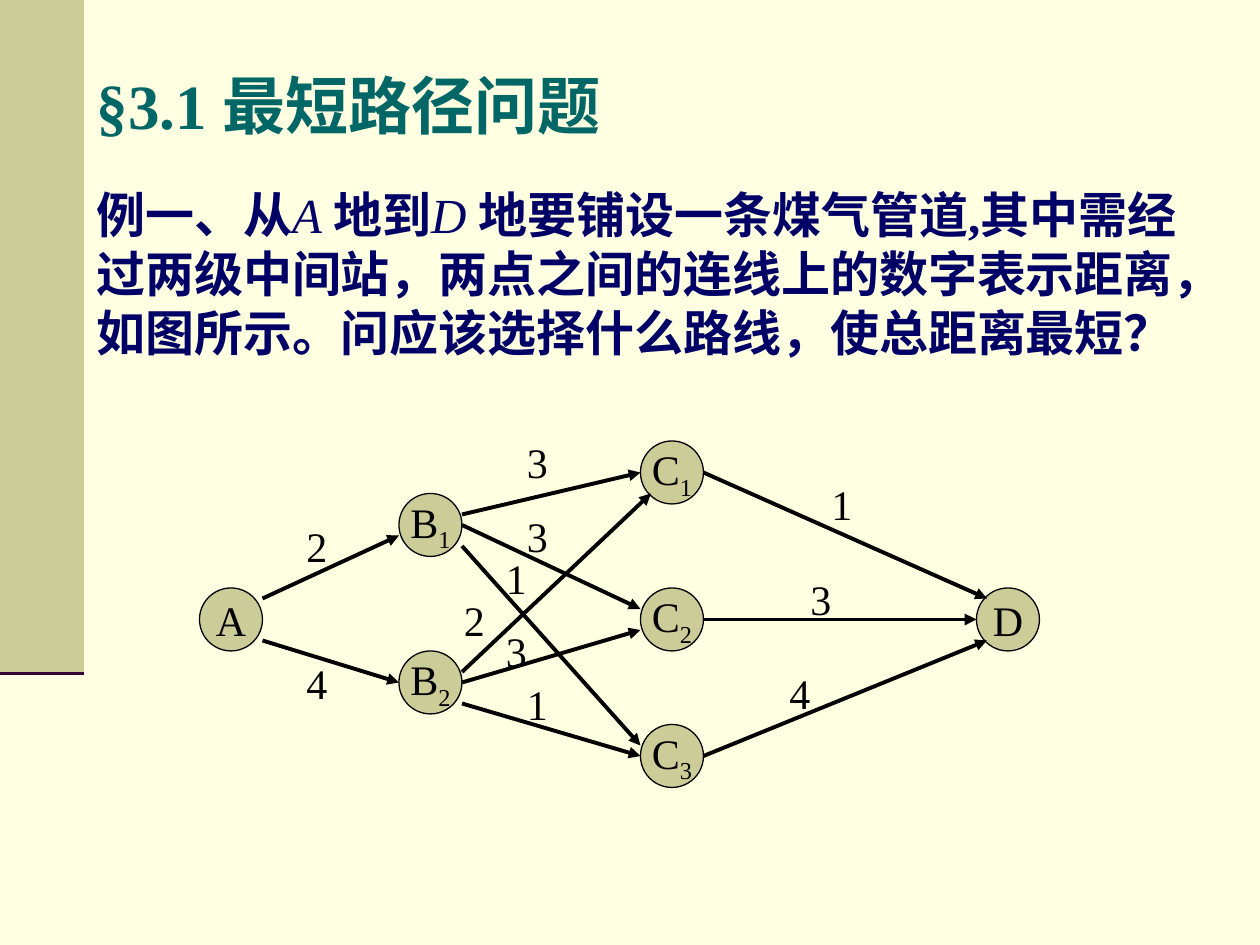
from lxml.etree import SubElement
from pptx import Presentation
from pptx.dml.color import RGBColor
from pptx.enum.shapes import MSO_CONNECTOR as Connector, MSO_SHAPE as Shape
from pptx.enum.text import MSO_ANCHOR as Anchor, MSO_AUTO_SIZE as AutoSize, PP_ALIGN as Align
from pptx.oxml.ns import qn
from pptx.util import Cm, Pt

FONT = "Times New Roman"
CREAM, KHAKI, PLUM = "FFFFE1", "CCCC99", "330033"
TEAL, NAVY, BLACK = "006666", "000066", "000000"
NODE_SIZE = 6

# Node name: left, top (grid units)
NODES = {
    "A": (19, 56),
    "B1": (38, 47), "B2": (38, 62),
    "C1": (61, 42), "C2": (61, 56), "C3": (61, 69),
    "D": (93, 56),
}

# Start, end, distance, left and top of the distance label (grid units)
EDGES = [
    ((25, 57), (38, 51), "2", (28, 49)),
    ((25, 61), (38, 65), "4", (28, 62)),
    ((44, 49), (61, 45), "3", (49, 41)),
    ((44, 50), (61, 58), "3", (49, 48)),
    ((44, 52), (61, 71), "1", (47, 52)),
    ((44, 64), (62, 47), "2", (43, 56)),
    ((44, 65), (61, 60), "3", (47, 59)),
    ((44, 67), (61, 72), "1", (49, 64)),
    ((67, 45), (94, 57), "1", (78, 45)),
    ((67, 59), (93, 59), "3", (76, 54)),
    ((67, 72), (94, 61), "4", (74, 63)),
]

QUESTION = [
    ("例一、从", False), ("A ", True), ("地到", False), ("D ", True),
    ("地要铺设一条煤气管道,其中需经过两级中间站，两点之间的连线上的数字表示距离，"
     "如图所示。问应该选择什么路线，使总距离最短？", False),
]


def grid(*counts):
    """Lengths on a grid of twelve units to the inch."""
    return [Cm(count * 2.54 / 12) for count in counts]


def color(hex_string):
    return RGBColor.from_string(hex_string)


def add_run(paragraph, text, size, hex_string, bold=False, italic=False):
    run = paragraph.add_run()
    run.text = text
    font = run.font
    font.name, font.size = FONT, Pt(size)
    font.bold, font.italic = bold, italic
    font.color.rgb = color(hex_string)
    return run


def add_line(slide, start, end, hex_string, width, arrow=False):
    line = slide.shapes.add_connector(Connector.STRAIGHT, *grid(*start, *end))
    line.line.color.rgb = color(hex_string)
    line.line.width = Pt(width)
    if arrow:
        SubElement(line.line._get_or_add_ln(), qn("a:tailEnd"), type="triangle")
    SubElement(line._element.spPr, qn("a:effectLst"))


def add_filled_shape(slide, kind, *box):
    shape = slide.shapes.add_shape(kind, *grid(*box))
    shape.shadow.inherit = False
    shape.fill.solid()
    shape.fill.fore_color.rgb = color(KHAKI)
    shape.line.fill.background()
    return shape


def add_node(slide, name, left, top):
    shape = add_filled_shape(slide, Shape.OVAL, left, top, NODE_SIZE, NODE_SIZE)
    shape.line.color.rgb = color(BLACK)
    shape.line.width = Pt(0.75)
    frame = shape.text_frame
    frame.word_wrap = False
    frame.vertical_anchor = Anchor.MIDDLE
    paragraph = frame.paragraphs[0]
    paragraph.alignment = Align.CENTER
    add_run(paragraph, name[0], 24, BLACK)
    if name[1:]:
        subscript = add_run(paragraph, name[1:], 24, BLACK)
        subscript.font._element.set("baseline", "-25000")


def add_text(slide, box, wrap):
    frame = slide.shapes.add_textbox(*grid(*box)).text_frame
    frame.word_wrap = wrap
    frame.auto_size = AutoSize.SHAPE_TO_FIT_TEXT
    return frame.paragraphs[0]


def fill_title(slide):
    title = slide.shapes.title
    title.left, title.top, title.width, title.height = grid(8, 2.4, 102, 15)
    frame = title.text_frame
    frame.auto_size = AutoSize.NONE
    frame.vertical_anchor = Anchor.MIDDLE
    paragraph = frame.paragraphs[0]
    paragraph.alignment = Align.LEFT
    add_run(paragraph, "§3.1 最短路径问题", 36, TEAL, bold=True)


def main():
    presentation = Presentation()
    presentation.slide_width, presentation.slide_height = grid(120, 90)
    slide = presentation.slides.add_slide(presentation.slide_layouts[5])
    slide.background.fill.solid()
    slide.background.fill.fore_color.rgb = color(CREAM)

    # Side band with its lower rule
    add_line(slide, (0, 64), (8, 64), PLUM, 3.5)
    add_filled_shape(slide, Shape.RECTANGLE, 0, 0, 8, 64)

    # Title and question
    fill_title(slide)
    question = add_text(slide, (8, 17, 108.5, 23), wrap=True)
    for text, is_place in QUESTION:
        add_run(question, text, 28, NAVY, bold=not is_place, italic=is_place)

    # Pipeline network
    for name, (left, top) in NODES.items():
        add_node(slide, name, left, top)
    for start, end, _, _ in EDGES:
        add_line(slide, start, end, BLACK, 2.25, arrow=True)
    for _, _, distance, position in EDGES:
        label = add_text(slide, (*position, 4.3, 6), wrap=False)
        add_run(label, distance, 24, BLACK)

    presentation.save("out.pptx")


if __name__ == "__main__":
    main()
